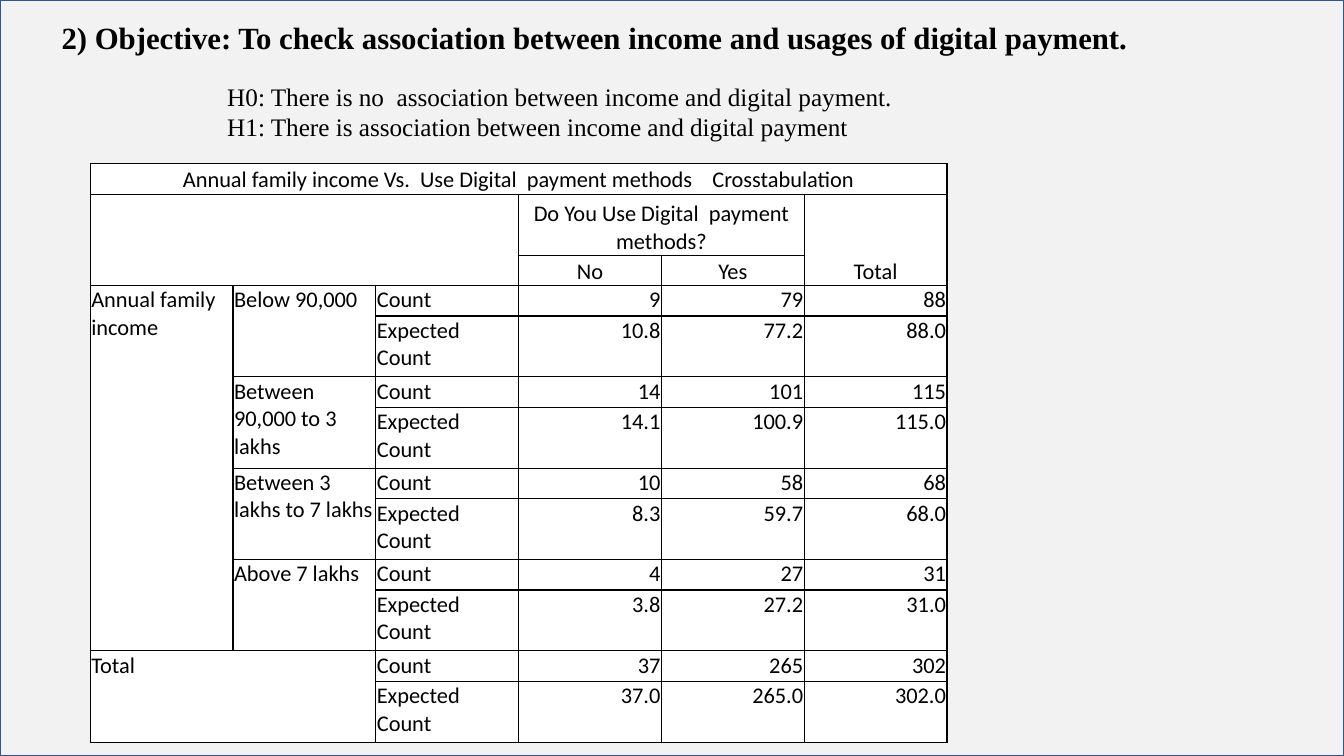
from lxml.etree import SubElement
from pptx import Presentation
from pptx.dml.color import RGBColor
from pptx.enum.shapes import MSO_SHAPE
from pptx.enum.text import MSO_ANCHOR, MSO_AUTO_SIZE, PP_ALIGN
from pptx.oxml.ns import qn
from pptx.util import Pt

EMU_PER_PX = 9525
SLIDE_WIDTH, SLIDE_HEIGHT = 1280, 720
COLORS = {"panel": "F2F2F2", "edge": "325491", "text": "000000", "cell": "FFFFFF"}
SERIF, SANS = "Times New Roman", "Calibri"

COLUMN_WIDTH = 136
ONE_LINE, TWO_LINES = 29, 58

INCOME_COUNTS = [
    ("Below 90,000", ["9", "79", "88"], ["10.8", "77.2", "88.0"]),
    ("Between 90,000 to 3 lakhs", ["14", "101", "115"], ["14.1", "100.9", "115.0"]),
    ("Between 3 lakhs to 7 lakhs", ["10", "58", "68"], ["8.3", "59.7", "68.0"]),
    ("Above 7 lakhs", ["4", "27", "31"], ["3.8", "27.2", "31.0"]),
]
TOTAL_COUNTS = ("", ["37", "265", "302"], ["37.0", "265.0", "302.0"])


def px(length):
    return length * EMU_PER_PX


def color(name):
    return RGBColor.from_string(COLORS[name])


class SlideBuilder:
    def __init__(self, slide):
        self.slide = slide

    def place(self, shape, left, top, width, height):
        shape.left, shape.top = px(left), px(top)
        shape.width, shape.height = px(width), px(height)

    def set_text(self, frame, text, font, size, bold=False, align=PP_ALIGN.LEFT):
        frame.text = text
        for paragraph in frame.paragraphs:
            paragraph.alignment = align
            for run in paragraph.runs:
                run.font.name, run.font.size, run.font.bold = font, Pt(size), bold
                run.font.color.rgb = color("text")

    def title(self, text, *box):
        heading = self.slide.shapes.title
        self.place(heading, *box)
        frame = heading.text_frame
        frame.word_wrap, frame.auto_size = True, MSO_AUTO_SIZE.NONE
        frame.vertical_anchor = MSO_ANCHOR.TOP
        self.set_text(frame, text, SERIF, 22, bold=True)

    def panel(self):
        """Fill the slide with an outlined panel behind the title."""
        panel = self.slide.shapes.add_shape(
            MSO_SHAPE.RECTANGLE, 0, 0, px(SLIDE_WIDTH), px(SLIDE_HEIGHT))
        panel.shadow.inherit = False
        panel.fill.solid()
        panel.fill.fore_color.rgb = color("panel")
        panel.line.color.rgb = color("edge")
        panel.line.width = Pt(1)
        self.slide.shapes.title.element.addprevious(panel.element)

    def text(self, text, *box):
        frame = self.slide.shapes.add_textbox(*map(px, box)).text_frame
        frame.word_wrap = True
        self.set_text(frame, text, SERIF, 18)

    def style_cell(self, cell):
        cell.margin_left = cell.margin_top = cell.margin_right = px(1)
        cell.margin_bottom = 0
        properties = cell._tc.get_or_add_tcPr()
        for side in ("lnL", "lnR", "lnT", "lnB"):
            border = SubElement(properties, qn(f"a:{side}"), w=str(Pt(1)))
            fill = SubElement(border, qn("a:solidFill"))
            SubElement(fill, qn("a:srgbClr"), val=COLORS["text"])
        cell.fill.solid()
        cell.fill.fore_color.rgb = color("cell")

    def table(self, left, top, heights, columns):
        frame = self.slide.shapes.add_table(
            len(heights), columns, px(left), px(top),
            px(columns * COLUMN_WIDTH), px(sum(heights)))
        grid = frame.table
        grid.first_row = grid.horz_banding = False
        for column in grid.columns:
            column.width = px(COLUMN_WIDTH)
        for row, height in zip(grid.rows, heights):
            row.height = px(height)
        for cell in grid.iter_cells():
            self.style_cell(cell)
        return grid

    def cell(self, grid, row, column, text, rows=1, columns=1,
             align=PP_ALIGN.LEFT, anchor=MSO_ANCHOR.TOP):
        cell = grid.cell(row, column)
        if rows * columns > 1:
            cell.merge(grid.cell(row + rows - 1, column + columns - 1))
        cell.vertical_anchor = anchor
        self.set_text(cell.text_frame, text, SANS, 16, align=align)

    def crosstab(self, left, top):
        heights = [ONE_LINE, TWO_LINES, ONE_LINE] + [ONE_LINE, TWO_LINES] * 5
        grid = self.table(left, top, heights, 6)
        heading = {"align": PP_ALIGN.CENTER, "anchor": MSO_ANCHOR.BOTTOM}
        self.cell(grid, 0, 0,
                  "Annual family income Vs.  Use Digital  payment methods    Crosstabulation",
                  columns=6, align=PP_ALIGN.CENTER, anchor=MSO_ANCHOR.MIDDLE)
        self.cell(grid, 1, 0, "", rows=2, columns=3)
        self.cell(grid, 1, 3, "Do You Use Digital  payment methods?", columns=2, **heading)
        self.cell(grid, 1, 5, "Total", rows=2, **heading)
        self.cell(grid, 2, 3, "No", **heading)
        self.cell(grid, 2, 4, "Yes", **heading)
        self.cell(grid, 3, 0, "Annual family income", rows=8)
        self.cell(grid, 11, 0, "Total", rows=2, columns=2)
        for index, (income, counts, expected) in enumerate(INCOME_COUNTS + [TOTAL_COUNTS]):
            first = 3 + 2 * index
            if income:
                self.cell(grid, first, 1, income, rows=2)
            measures = [("Count", counts), ("Expected Count", expected)]
            for row, (measure, values) in enumerate(measures, first):
                self.cell(grid, row, 2, measure)
                for column, value in enumerate(values, 3):
                    self.cell(grid, row, column, value, align=PP_ALIGN.RIGHT)


def main():
    presentation = Presentation()
    presentation.slide_width = px(SLIDE_WIDTH)
    presentation.slide_height = px(SLIDE_HEIGHT)
    title_only = presentation.slide_layouts[5]
    builder = SlideBuilder(presentation.slides.add_slide(title_only))
    builder.panel()
    builder.title(
        "2) Objective: To check association between income and usages of digital payment.",
        49, 13, 1155, 81)
    builder.text(
        "H0: There is no  association between income and digital payment.\n"
        "H1: There is association between income and digital payment",
        207, 73, 1073, 69)
    builder.crosstab(86, 156)
    presentation.save("out.pptx")


if __name__ == "__main__":
    main()
